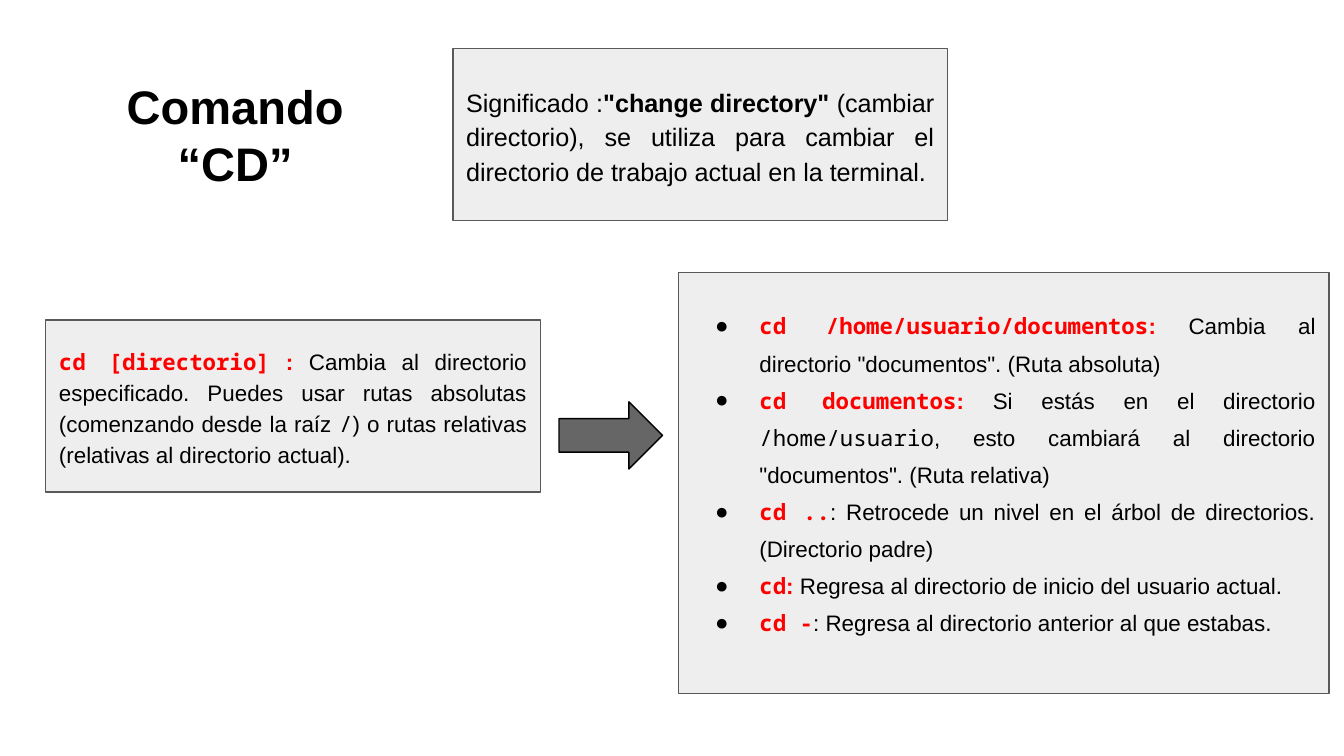
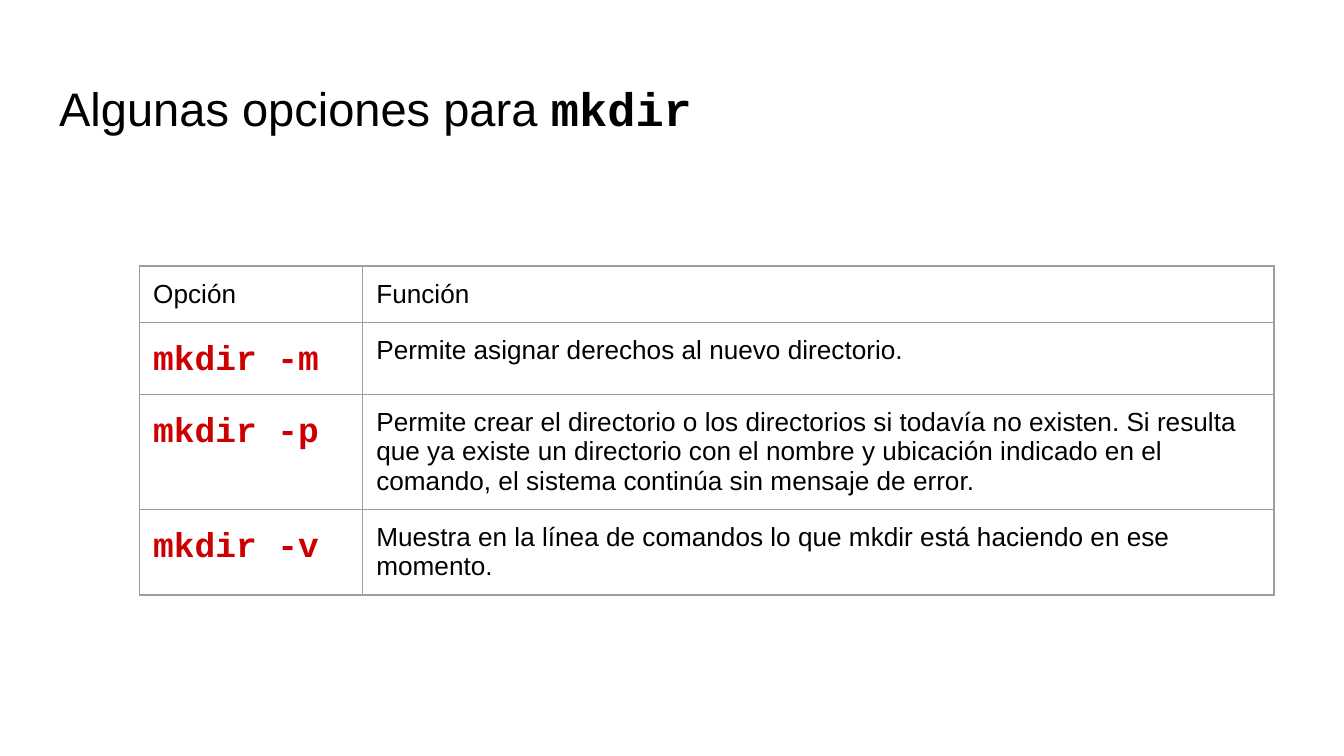
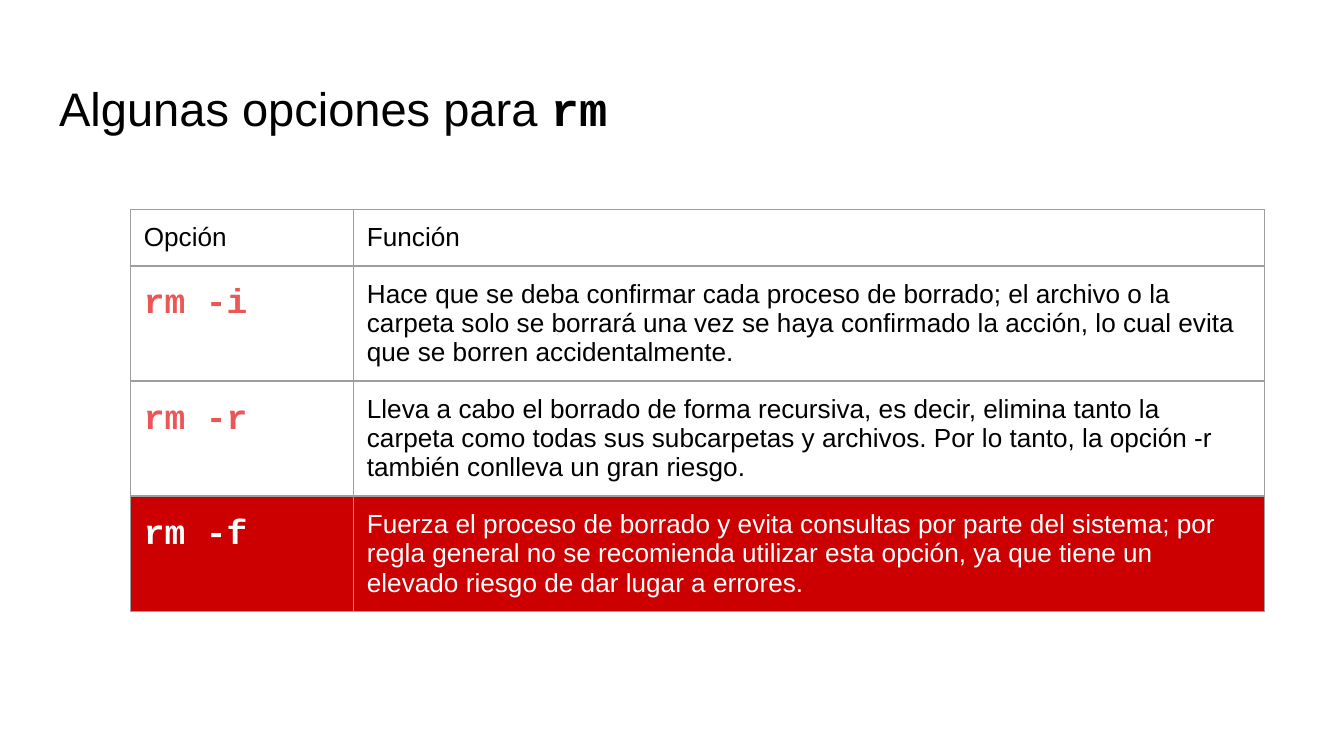
"""Builds three slides on the cd, mkdir and rm terminal commands."""
import dataclasses

import lxml.etree
import pptx
import pptx.dml.color
import pptx.enum.shapes
import pptx.enum.text
import pptx.oxml.ns
import pptx.util

Inches = pptx.util.Inches
Pt = pptx.util.Pt
Align = pptx.enum.text.PP_ALIGN
Anchor = pptx.enum.text.MSO_ANCHOR
Shape = pptx.enum.shapes.MSO_SHAPE
color = pptx.dml.color.RGBColor.from_string
qn = pptx.oxml.ns.qn


@dataclasses.dataclass(frozen=True)
class Theme:
    sans: str = "Arial"
    mono: str = "Noto Sans Mono"
    courier: str = "Courier New"
    text: str = "000000"
    white: str = "FFFFFF"
    command: str = "FF0000"
    danger: str = "CC0000"
    warning: str = "EB5757"
    panel: str = "EEEEEE"
    panel_line: str = "595959"
    arrow: str = "666666"
    grid: str = "9E9E9E"
    title_size: float = 25.2
    meaning_size: float = 13.5
    body_size: float = 12
    cell_size: float = 14
    option_size: float = 18.5
    line_width: float = 0.75


theme = Theme()
PLAIN = (theme.sans, theme.text, False)
STRONG = (theme.sans, theme.text, True)
CODE = (theme.mono, theme.text, False)
COMMAND = (theme.mono, theme.command, True)
COLON = (theme.sans, theme.command, True)
TITLE_CODE = (theme.courier, theme.text, True)


def write(para, size, spans, align=Align.LEFT, spacing=1.0, after=0):
    """Fill a paragraph with styled runs."""
    para.alignment = align
    para.line_spacing = spacing
    para.space_before = Pt(0)
    para.space_after = Pt(after)
    for text, (font, rgb, bold) in spans:
        span = para.add_run()
        span.text = text
        span.font.name = font
        span.font.size = Pt(size)
        span.font.bold = bold
        span.font.color.rgb = color(rgb)


def prepare(shape, place, anchor, fill=None, line=None):
    """Place a shape and set its frame, fill and outline."""
    shape.left, shape.top, shape.width, shape.height = map(Inches, place)
    frame = shape.text_frame
    frame.word_wrap = True
    frame.auto_size = pptx.enum.text.MSO_AUTO_SIZE.NONE
    frame.vertical_anchor = anchor
    frame.margin_left = frame.margin_right = Inches(0.1)
    frame.margin_top = frame.margin_bottom = Inches(0.1)
    if fill:
        shape.shadow.inherit = False
        shape.fill.solid()
        shape.fill.fore_color.rgb = color(fill)
        shape.line.color.rgb = color(line)
        shape.line.width = Pt(theme.line_width)
    return frame


deck = pptx.Presentation()
deck.slide_width = Inches(10)
deck.slide_height = deck.slide_width * 9 // 16

page = deck.slides.add_slide(deck.slide_layouts[1])
frame = prepare(page.shapes.title, (0.5, 0.48, 2.5, 0.9), Anchor.TOP)
write(frame.paragraphs[0], theme.title_size, [("Comando “CD”", STRONG)], Align.CENTER)

explanations = [
    ((3.37, 0.36, 3.68, 1.28), theme.meaning_size, [
        ("Significado :", PLAIN),
        ('"change directory"', STRONG),
        (" (cambiar directorio), se utiliza para cambiar el directorio de trabajo "
         "actual en la terminal.", PLAIN),
    ]),
    ((0.34, 2.38, 3.68, 1.28), theme.body_size, [
        ("cd [directorio]", COMMAND),
        (" :", COLON),
        (" Cambia al directorio especificado. Puedes usar rutas absolutas "
         "(comenzando desde la raíz ", PLAIN),
        ("/", CODE),
        (") o rutas relativas (relativas al directorio actual).", PLAIN),
    ]),
]
for place, size, spans in explanations:
    box = page.shapes.add_shape(Shape.RECTANGLE, 0, 0, 0, 0)
    frame = prepare(box, place, Anchor.MIDDLE, theme.panel, theme.panel_line)
    write(frame.paragraphs[0], size, spans, Align.JUSTIFY, 1.15, 12)

examples = [
    [("cd /home/usuario/documentos", COMMAND), (":", COLON),
     (' Cambia al directorio "documentos". (Ruta absoluta)', PLAIN)],
    [("cd documentos", COMMAND), (":", COLON), (" Si estás en el directorio ", PLAIN),
     ("/home/usuario", CODE),
     (', esto cambiará al directorio "documentos". (Ruta relativa)', PLAIN)],
    [("cd ..", COMMAND),
     (": Retrocede un nivel en el árbol de directorios. (Directorio padre)", PLAIN)],
    [("cd", COMMAND), (":", COLON),
     (" Regresa al directorio de inicio del usuario actual.", PLAIN)],
    [("cd -", COMMAND), (": Regresa al directorio anterior al que estabas.", PLAIN)],
]
frame = prepare(page.placeholders[1], (5.05, 2.03, 4.84, 3.13), Anchor.TOP,
                theme.panel, theme.panel_line)
frame.margin_top = Inches(0.22)
for index, spans in enumerate(examples):
    para = frame.add_paragraph() if index else frame.paragraphs[0]
    properties = para._p.get_or_add_pPr()
    properties.set("marL", str(Inches(0.5)))
    properties.set("indent", str(Inches(-0.33)))
    bullet_color = lxml.etree.SubElement(properties, qn("a:buClr"))
    lxml.etree.SubElement(bullet_color, qn("a:srgbClr"), val=theme.text)
    lxml.etree.SubElement(properties, qn("a:buFont"), typeface=theme.sans)
    lxml.etree.SubElement(properties, qn("a:buChar"), char="●")
    write(para, theme.body_size, spans, Align.JUSTIFY, 1.38)

arrow = page.shapes.add_shape(Shape.RIGHT_ARROW, 0, 0, 0, 0)
prepare(arrow, (4.16, 2.99, 0.77, 0.5), Anchor.MIDDLE, theme.arrow, theme.text)

option_pages = [
    ("mkdir", 1.04, 1.98, theme.danger, None, [
        ("-m", "Permite asignar derechos al nuevo directorio."),
        ("-p", "Permite crear el directorio o los directorios si todavía no existen. "
               "Si resulta que ya existe un directorio con el nombre y ubicación indicado "
               "en el comando, el sistema continúa sin mensaje de error."),
        ("-v", "Muestra en la línea de comandos lo que mkdir está haciendo en ese momento."),
    ]),
    ("rm", 0.97, 1.56, theme.warning, "-f", [
        ("-i", "Hace que se deba confirmar cada proceso de borrado; el archivo o la carpeta "
               "solo se borrará una vez se haya confirmado la acción, lo cual evita que se "
               "borren accidentalmente."),
        ("-r", "Lleva a cabo el borrado de forma recursiva, es decir, elimina tanto la "
               "carpeta como todas sus subcarpetas y archivos. Por lo tanto, la opción -r "
               "también conlleva un gran riesgo."),
        ("-f", "Fuerza el proceso de borrado y evita consultas por parte del sistema; por "
               "regla general no se recomienda utilizar esta opción, ya que tiene un "
               "elevado riesgo de dar lugar a errores."),
    ]),
]
column_widths = (1.66, 6.78)
row_height = 0.42
for command, left, top, option_color, risky_flag, options in option_pages:
    page = deck.slides.add_slide(deck.slide_layouts[5])
    frame = prepare(page.shapes.title, (0.34, 0.49, 9.32, 0.63), Anchor.TOP)
    write(frame.paragraphs[0], theme.title_size,
          [("Algunas opciones para ", PLAIN), (command, TITLE_CODE)])

    row_count = len(options) + 1
    table = page.shapes.add_table(
        row_count, len(column_widths), Inches(left), Inches(top),
        Inches(sum(column_widths)), Inches(row_height * row_count)).table
    table.first_row = False
    table.horz_banding = False
    for column, width in zip(table.columns, column_widths):
        column.width = Inches(width)
    for row in table.rows:
        row.height = Inches(row_height)

    for cell, heading in zip(table.rows[0].cells, ("Opción", "Función")):
        write(cell.text_frame.paragraphs[0], theme.cell_size, [(heading, PLAIN)])
    for row, (flag, purpose) in enumerate(options, start=1):
        risky = flag == risky_flag
        option_style = (theme.courier, theme.white if risky else option_color, True)
        purpose_style = (theme.sans, theme.white if risky else theme.text, False)
        write(table.cell(row, 0).text_frame.paragraphs[0], theme.option_size,
              [(f"{command} {flag}", option_style)], Align.JUSTIFY, 1.15, 12)
        write(table.cell(row, 1).text_frame.paragraphs[0], theme.cell_size,
              [(purpose, purpose_style)])

    for cell in table.iter_cells():
        cell.margin_left = cell.margin_right = Inches(0.1)
        cell.margin_top = cell.margin_bottom = Inches(0.1)
        borders = cell._tc.get_or_add_tcPr()
        for side in ("a:lnL", "a:lnR", "a:lnT", "a:lnB"):
            border = lxml.etree.SubElement(borders, qn(side), w=str(Pt(theme.line_width)))
            border_fill = lxml.etree.SubElement(border, qn("a:solidFill"))
            lxml.etree.SubElement(border_fill, qn("a:srgbClr"), val=theme.grid)
        cell.fill.background()
    if risky_flag:
        for cell in table.rows[row_count - 1].cells:
            cell.fill.solid()
            cell.fill.fore_color.rgb = color(theme.danger)

deck.save("out.pptx")
